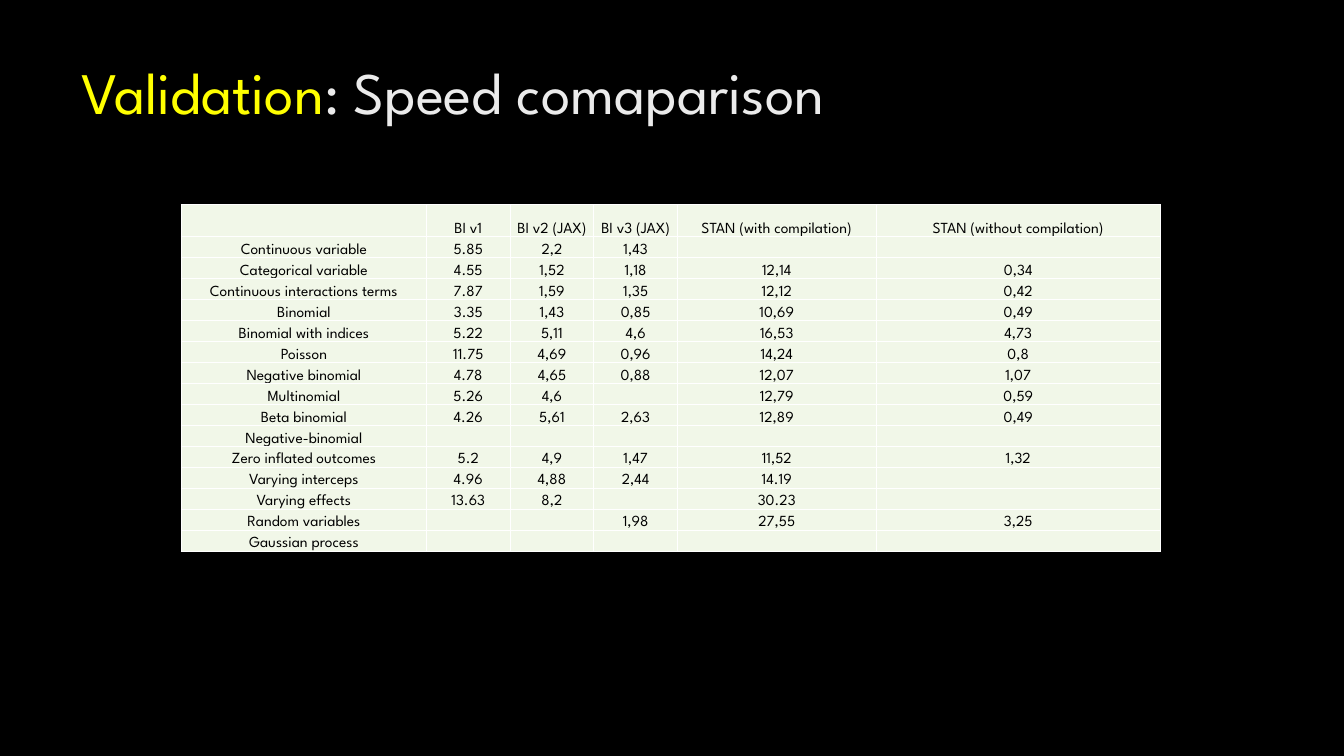
import pptx
import pptx.dml.color
import pptx.enum.text
import pptx.oxml
import pptx.oxml.ns
import pptx.util
from lxml import etree
from pptx.util import Inches

FONT = "League Spartan"
COLORS = {
    "background": "000000",
    "accent": "FFFF00",
    "title": "EBEBEB",
    "cell": "F1F7E8",
    "border": "FFFFFF",
    "text": "000000",
}
CELL_SIZE = 11
TABLE_HEIGHT = 3.44
HEADER_HEIGHT = 0.32
COLUMN_WIDTHS = [2.43, 0.83, 0.83, 0.83, 1.97, 2.82]
SPEEDS = [
    ["", "BI v1", "BI v2 (JAX)", "BI v3 (JAX)", "STAN (with compilation)", "STAN (without compilation)"],
    ["Continuous variable", "5.85", "2,2", "1,43", "", ""],
    ["Categorical variable", "4.55", "1,52", "1,18", "12,14", "0,34"],
    ["Continuous interactions terms", "7.87", "1,59", "1,35", "12,12", "0,42"],
    ["Binomial", "3.35", "1,43", "0,85", "10,69", "0,49"],
    ["Binomial with indices", "5.22", "5,11", "4,6", "16,53", "4,73"],
    ["Poisson", "11.75", "4,69", "0,96", "14,24", "0,8"],
    ["Negative binomial", "4.78", "4,65", "0,88", "12,07", "1,07"],
    ["Multinomial", "5.26", "4,6", "", "12,79", "0,59"],
    ["Beta binomial", "4.26", "5,61", "2,63", "12,89", "0,49"],
    ["Negative-binomial", "", "", "", "", ""],
    ["Zero inflated outcomes", "5.2", "4,9", "1,47", "11,52", "1,32"],
    ["Varying interceps", "4.96", "4,88", "2,44", "14.19", ""],
    ["Varying effects", "13.63", "8,2", "", "30.23", ""],
    ["Random variables", "", "", "1,98", "27,55", "3,25"],
    ["Gaussian process", "", "", "", "", ""],
]


def color(name):
    return pptx.dml.color.RGBColor.from_string(COLORS[name])


def add_run(paragraph, text, size, color_name):
    run = paragraph.add_run()
    run.text = text
    run.font.name = FONT
    run.font.size = pptx.util.Pt(size)
    run.font.color.rgb = color(color_name)


def add_title(slide):
    box = slide.shapes.add_textbox(Inches(0.71), Inches(0.5), Inches(10.29), Inches(1.53))
    box.text_frame.word_wrap = True
    paragraph = box.text_frame.paragraphs[0]
    add_run(paragraph, "Validation", 42, "accent")
    add_run(paragraph, ": Speed comaparison", 42, "title")


def add_borders(cell):
    properties = cell._tc.get_or_add_tcPr()
    for position, side in enumerate(("lnL", "lnR", "lnT", "lnB")):
        border = pptx.oxml.parse_xml(
            f'<a:{side} {pptx.oxml.ns.nsdecls("a")} w="12700"><a:solidFill>'
            f'<a:srgbClr val="{COLORS["border"]}"/></a:solidFill></a:{side}>'
        )
        properties.insert(position, border)


def fill_cell(cell, text):
    cell.margin_left = cell.margin_right = cell.margin_top = Inches(0.01)
    cell.margin_bottom = 0
    cell.vertical_anchor = pptx.enum.text.MSO_ANCHOR.BOTTOM
    cell.fill.solid()
    cell.fill.fore_color.rgb = color("cell")
    add_borders(cell)
    paragraph = cell.text_frame.paragraphs[0]
    paragraph.alignment = pptx.enum.text.PP_ALIGN.CENTER
    if text:
        add_run(paragraph, text, CELL_SIZE, "text")
    else:
        etree.SubElement(paragraph._p, pptx.oxml.ns.qn("a:endParaRPr"), sz=str(CELL_SIZE * 100))


def add_speed_table(slide):
    frame = slide.shapes.add_table(
        len(SPEEDS), len(COLUMN_WIDTHS),
        Inches(1.8), Inches(2.03), Inches(sum(COLUMN_WIDTHS)), Inches(TABLE_HEIGHT),
    )
    table = frame.table
    table.first_row = False
    table.horz_banding = False
    for column, width in zip(table.columns, COLUMN_WIDTHS):
        column.width = Inches(width)
    body_height = (TABLE_HEIGHT - HEADER_HEIGHT) / (len(SPEEDS) - 1)
    for index, (row, texts) in enumerate(zip(table.rows, SPEEDS)):
        row.height = Inches(body_height if index else HEADER_HEIGHT)
        for cell, text in zip(row.cells, texts):
            fill_cell(cell, text)


def main():
    presentation = pptx.Presentation()
    presentation.slide_width = Inches(13.33)
    presentation.slide_height = Inches(7.5)
    slide = presentation.slides.add_slide(presentation.slide_layouts[6])
    slide.background.fill.solid()
    slide.background.fill.fore_color.rgb = color("background")
    add_title(slide)
    add_speed_table(slide)
    presentation.save("out.pptx")


if __name__ == "__main__":
    main()
